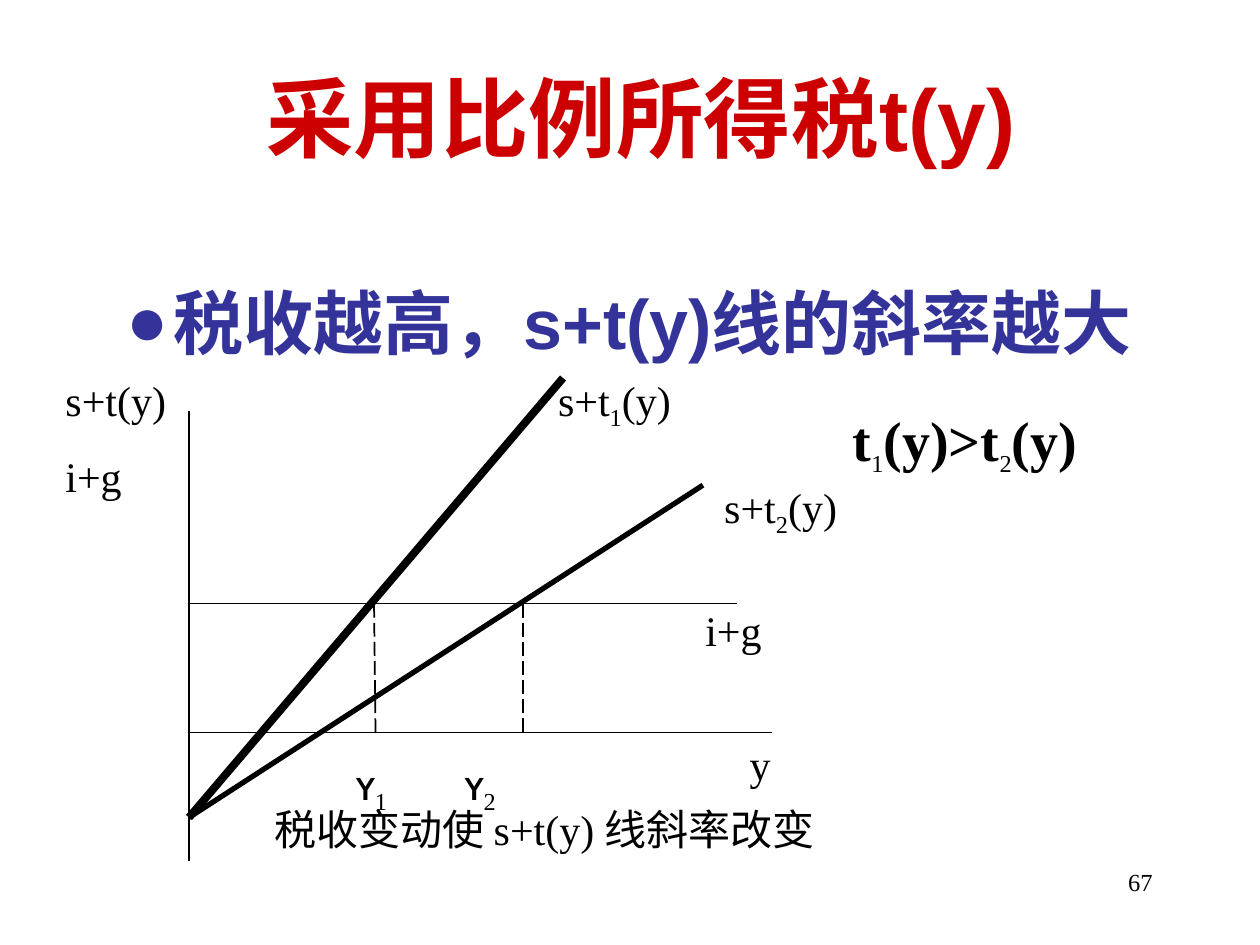
from lxml.etree import SubElement
from pptx import Presentation
from pptx.dml.color import RGBColor as RGB
from pptx.enum.dml import MSO_LINE as Dash
from pptx.enum.shapes import MSO_CONNECTOR as Link
from pptx.enum.text import MSO_ANCHOR as Anchor, MSO_AUTO_SIZE as Fit, PP_ALIGN as Align
from pptx.oxml.ns import qn
from pptx.util import Cm, Pt

BLACK, RED, BLUE = RGB(0, 0, 0), RGB(0xCC, 0, 0), RGB(0x33, 0x33, 0x99)
SERIF = "Times New Roman"
THEME = {
    "title": dict(name="Arial", size=Pt(50), bold=True, color=RED),
    "body": dict(name="Arial", size=Pt(40), bold=True, color=BLUE),
    "label": dict(name=SERIF, size=Pt(24), bold=False, color=BLACK),
    "sub": dict(name=SERIF, size=Pt(24), bold=False, color=BLACK),
    "rule": dict(name=SERIF, size=Pt(32), bold=True, color=BLACK),
    "tick": dict(name="Cabin", size=Pt(18), bold=True, color=BLACK),
    "page": dict(name=SERIF, size=Pt(14), bold=False, color=BLACK),
}


def write(para, runs):
    """Add (text, style) runs to a paragraph; the style "sub" is lowered."""
    for text, style in runs:
        run = para.add_run()
        run.text = text
        for key, value in THEME[style].items():
            if key == "color":
                run.font.color.rgb = value
            else:
                setattr(run.font, key, value)
        if style == "sub":
            run.font._element.set("baseline", "-25000")


def place(shape, box, *lines):
    """Move a text shape to box (in cm) and write one paragraph per line."""
    for side, value in zip(("left", "top", "width", "height"), box):
        setattr(shape, side, Cm(value))
    frame = shape.text_frame
    frame.word_wrap = True
    frame.auto_size = Fit.NONE
    for i, runs in enumerate(lines):
        para = frame.add_paragraph() if i else frame.paragraphs[0]
        para.space_before = Pt(15 if i else 0)
        para.alignment = Align.LEFT
        write(para, runs)
    return frame


deck = Presentation()
deck.slide_width, deck.slide_height = Cm(25.4), Cm(19.05)
slide = deck.slides.add_slide(deck.slide_layouts[1])
shapes = slide.shapes

# Title and bullet
head = place(shapes.title, (5.11, 0.76, 19.02, 3.18), [("采用比例所得税t(y)", "title")])
head.vertical_anchor = Anchor.MIDDLE

body = slide.placeholders[1]
frame = body.text_frame
props = frame.paragraphs[0]._p.get_or_add_pPr()
props.set("marL", str(Cm(0.96)))
props.set("indent", str(-Cm(0.96)))
tint = SubElement(props, qn("a:buClr"))
SubElement(tint, qn("a:srgbClr")).set("val", str(BLUE))
SubElement(props, qn("a:buFont")).set("typeface", "Arial")
SubElement(props, qn("a:buChar")).set("char", "●")
place(body, (2.29, 5.51, 21.84, 11.99), [("税收越高，s+t(y)线的斜率越大", "body")])

# Axes, curves and drop lines
left, base, level, start = 3.81, 14.76, 12.17, 16.48
lines = [
    (left, base, 15.57, base, 0.75, None),
    (left, 17.35, left, 8.28, 0.75, None),
    (left, level, 14.86, level, 0.75, None),
    (left, start, 11.35, 7.62, 4.5, None),
    (left, start, 14.17, 9.78, 3, None),
    (10.54, level, 10.54, base, 1, Dash.LONG_DASH),
    (7.54, level, 7.57, base, 1, Dash.LONG_DASH),
]
for x1, y1, x2, y2, width, dash in lines:
    line = shapes.add_connector(Link.STRAIGHT, Cm(x1), Cm(y1), Cm(x2), Cm(y2))
    line.line.color.rgb = BLACK
    line.line.width = Pt(width)
    if dash:
        line.line.dash_style = dash
    SubElement(line._element.spPr, qn("a:effectLst"))

# Labels
labels = [
    ((1.07, 7.42, 4.45, 2.82), [("s+t(y)", "label")], [("i+g", "label")]),
    ((11, 7.42, 3.86, 1.42), [("s+t", "label"), ("1", "sub"), ("(y)", "label")]),
    ((14.35, 9.58, 3.86, 1.42), [("s+t", "label"), ("2", "sub"), ("(y)", "label")]),
    ((13.97, 12.07, 3.81, 1.27), [("i+g", "label")]),
    ((14.86, 14.76, 1.57, 1.27), [("y", "label")]),
    ((5.28, 16.08, 12.27, 1.27), [("税收变动使 s+t(y) 线斜率改变", "label")]),
    ((16.94, 8.05, 6.55, 1.7), [("t", "rule"), ("1", "sub"), ("(y)>t", "rule"),
                                ("2", "sub"), ("(y)", "rule")]),
]
for box, *text in labels:
    place(shapes.add_textbox(0, 0, 0, 0), box, *text)

# Income marks, the second one set by a tab stop
marks = shapes.add_textbox(0, 0, 0, 0)
props = marks.text_frame.paragraphs[0]._p.get_or_add_pPr()
stop = SubElement(SubElement(props, qn("a:tabLst")), qn("a:tab"))
stop.set("pos", str(Cm(2.19)))
stop.set("algn", "l")
frame = place(marks, (6.65, 15.16, 5.33, 1.42),
              [("Y", "tick"), ("1", "sub"), ("\tY", "tick"), ("2", "sub")])
frame.margin_left = Cm(0.53)

page = place(shapes.add_textbox(0, 0, 0, 0), (18.21, 17.35, 5.28, 1.27), [("67", "page")])
page.paragraphs[0].alignment = Align.RIGHT

deck.save("out.pptx")
